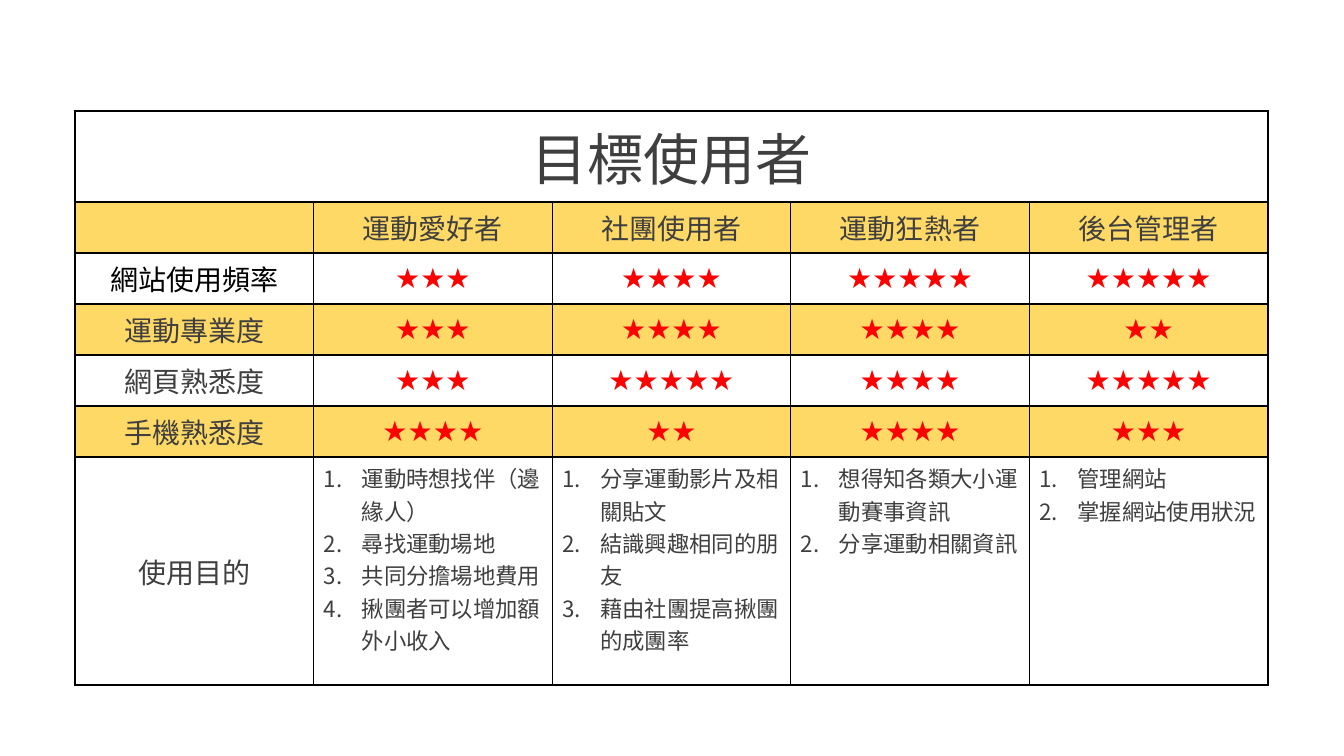
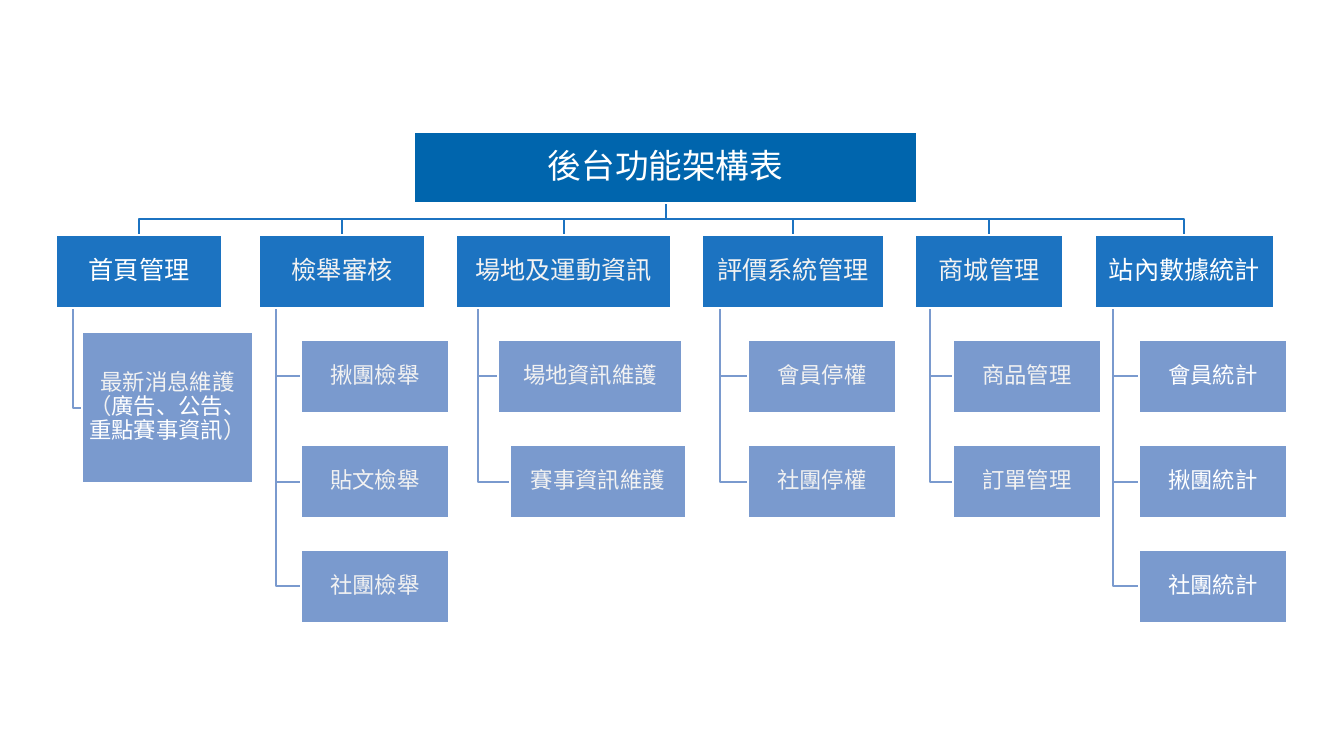
from lxml import etree
from pptx import Presentation
from pptx import util as u
from pptx.dml.color import RGBColor
from pptx.enum import shapes, text
from pptx.oxml.ns import qn

PX = 914400 / 100.8
FONT = "Arial"
INK = {
    "black": "000000", "dark": "3F3F3F", "red": "FF0000", "amber": "FFC000",
    "white": "FFFFFF", "pale": "F2F2F2",
    "root": "0065AD", "head": "1C73C1", "leaf": "7A9ACE",
}

# Target users: column heads, then one row per rating, then the goals
ROLES = ["", "運動愛好者", "社團使用者", "運動狂熱者", "後台管理者"]
RATES = [
    ("網站使用頻率", "black", (3, 4, 5, 5)),
    ("運動專業度", "dark", (3, 4, 4, 2)),
    ("網頁熟悉度", "dark", (3, 5, 4, 5)),
    ("手機熟悉度", "dark", (4, 2, 4, 3)),
]
GOALS = [
    ["運動時想找伴（邊緣人）", "尋找運動場地", "共同分擔場地費用", "揪團者可以增加額外小收入"],
    ["分享運動影片及相關貼文", "結識興趣相同的朋友", "藉由社團提高揪團的成團率"],
    ["想得知各類大小運動賽事資訊", "分享運動相關資訊"],
    ["管理網站", "掌握網站使用狀況"],
]

# Branches: title, left, width, colour, font, leaves (runs, indent, width)
NEWS = [("最新消息維護\n（", "pale"), ("廣告、公告、重點賽事資訊", "white"), ("）", "pale")]
TREE = [
    ("首頁管理", 0, 166, "white", "Calibri", [(NEWS, 26, 171)]),
    ("檢舉審核", 203, 166, "pale", FONT,
     [("揪團檢舉", 42, 148), ("貼文檢舉", 42, 148), ("社團檢舉", 42, 148)]),
    ("場地及運動資訊", 400, 215, "pale", FONT,
     [("場地資訊維護", 42, 184), ("賽事資訊維護", 54, 176)]),
    ("評價系統管理", 646, 182, "pale", FONT,
     [("會員停權", 46, 148), ("社團停權", 46, 148)]),
    ("商城管理", 859, 148, "pale", FONT,
     [("商品管理", 38, 148), ("訂單管理", 38, 148)]),
    ("站內數據統計", 1039, 179, "white", FONT,
     [("會員統計", 44, 148), ("揪團統計", 44, 148), ("社團統計", 44, 148)]),
]


def px(n):
    return u.Emu(round(n * PX))


def rgb(name):
    return RGBColor.from_string(INK[name])


def style(par, size, ink=None, font=FONT, mid=True):
    if mid:
        par.alignment = text.PP_ALIGN.CENTER
    par.font.size = u.Pt(size)
    par.font.name = font
    if ink:
        par.font.color.rgb = rgb(ink)


# Table parts
def paint(cell, band):
    props = cell._tc.get_or_add_tcPr()
    for side in ("lnL", "lnR", "lnT", "lnB"):
        line = etree.SubElement(props, qn("a:" + side), w="12700")
        fill = etree.SubElement(line, qn("a:solidFill"))
        etree.SubElement(fill, qn("a:srgbClr"), val=INK["black"])
    if band:
        cell.fill.solid()
        cell.fill.fore_color.rgb = rgb("amber")
        tint = props.find(".//" + qn("a:solidFill") + "/" + qn("a:srgbClr")
                          + "[@val='" + INK["amber"] + "']")
        etree.SubElement(tint, qn("a:alpha"), val="60000")
    else:
        cell.fill.background()


def put(cell, words, size=20, ink="dark"):
    cell.vertical_anchor = text.MSO_ANCHOR.MIDDLE
    par = cell.text_frame.paragraphs[0]
    par.text = words
    style(par, size, ink)


def number(cell, items):
    cell.vertical_anchor = text.MSO_ANCHOR.TOP
    frame = cell.text_frame
    for i, item in enumerate(items):
        par = frame.add_paragraph() if i else frame.paragraphs[0]
        par.text = item
        props = par._p.get_or_add_pPr()
        props.set("marL", str(px(38)))
        props.set("indent", str(-px(38)))
        tint = etree.SubElement(props, qn("a:buClr"))
        etree.SubElement(tint, qn("a:srgbClr"), val=INK["dark"])
        etree.SubElement(props, qn("a:buAutoNum"), type="arabicPeriod")
        style(par, 16, "dark", mid=False)


def users(slide, x, y, w, h):
    top, row = 91, 51
    count = len(RATES) + 3
    tall = [top] + [row] * (count - 2)
    tall.append(h - sum(tall))
    grid = slide.shapes.add_table(count, len(ROLES), px(x), px(y), px(w), px(h)).table
    grid.first_row = grid.horz_banding = False
    for col in grid.columns:
        col.width = px(w / len(ROLES))
    for r, high in enumerate(tall):
        grid.rows[r].height = px(high)
        for c in range(len(ROLES)):
            paint(grid.cell(r, c), r % 2 and r < count - 1)

    # Title across all columns
    grid.cell(0, 0).merge(grid.cell(0, len(ROLES) - 1))
    put(grid.cell(0, 0), "目標使用者", 40)
    for c, role in enumerate(ROLES):
        put(grid.cell(1, c), role)

    # Star ratings
    for r, (label, ink, stars) in enumerate(RATES, 2):
        put(grid.cell(r, 0), label, ink=ink)
        for c, n in enumerate(stars, 1):
            put(grid.cell(r, c), "★" * n, ink="red")

    # Goals
    put(grid.cell(count - 1, 0), "使用目的")
    for c, items in enumerate(GOALS, 1):
        number(grid.cell(count - 1, c), items)


# Tree parts
def block(slide, box, fill, words, size, ink, font=FONT, pad=1):
    rect = slide.shapes.add_shape(shapes.MSO_SHAPE.RECTANGLE, *map(px, box))
    rect.shadow.inherit = False
    rect.fill.solid()
    rect.fill.fore_color.rgb = rgb(fill)
    rect.line.color.rgb = rgb("white")
    rect.line.width = u.Pt(1)
    frame = rect.text_frame
    frame.word_wrap = True
    frame.vertical_anchor = text.MSO_ANCHOR.MIDDLE
    frame.margin_left = frame.margin_right = px(pad)
    frame.margin_top = frame.margin_bottom = px(pad)
    par = frame.paragraphs[0]
    par.line_spacing = 0.9
    if isinstance(words, str):
        par.text = words
        style(par, size, ink, font)
        return
    style(par, size, font=font)
    for part, tone in words:
        for i, line in enumerate(part.split("\n")):
            if i:
                par.add_line_break()
            run = par.add_run()
            run.text = line
            run.font.color.rgb = rgb(tone)


def elbow(slide, points, ink):
    pen = slide.shapes.build_freeform(*points[0], scale=PX)
    pen.add_line_segments(points[1:], close=False)
    path = pen.convert_to_shape()
    path.shadow.inherit = False
    path.fill.background()
    path.line.color.rgb = rgb(ink)
    path.line.width = u.Pt(1)


def tree(slide, x, y, w):
    root = (x + 358, y, 503, 71)
    high, step = 73, 105
    head = y + 103
    foot = head + high
    mid = root[0] + root[2] / 2
    base = y + root[3]
    fork = (base + head) / 2
    blocks = [(root, "root", "後台功能架構表", 24, "white", FONT, 2)]

    for name, left, wide, ink, font, leaves in TREE:
        left += x
        hub = left + wide / 2
        elbow(slide, [(mid, base), (mid, fork), (hub, fork), (hub, head)], "head")
        blocks.append(((left, head, wide, high), "head", name, 18, ink, font))
        spine = left + wide / 10
        for i, (words, dx, span) in enumerate(leaves, 1):
            # The news leaf is taller and sits closer to its head
            news = words is NEWS
            top = head + i * step - (8 if news else 0)
            deep = 151 if news else high
            row = top + deep / 2
            elbow(slide, [(spine, foot), (spine, row), (left + dx, row)], "leaf")
            blocks.append(((left + dx, top, span, deep), "leaf", words, 16, ink))

    for item in blocks:
        block(slide, *item)


def main():
    deck = Presentation()
    deck.slide_width, deck.slide_height = px(1344), px(756)
    blank = deck.slide_layouts[6]
    users(deck.slides.add_slide(blank), 75, 111, 1193, 574)
    tree(deck.slides.add_slide(blank), 56, 132, 1231)
    deck.save("out.pptx")


if __name__ == "__main__":
    main()
